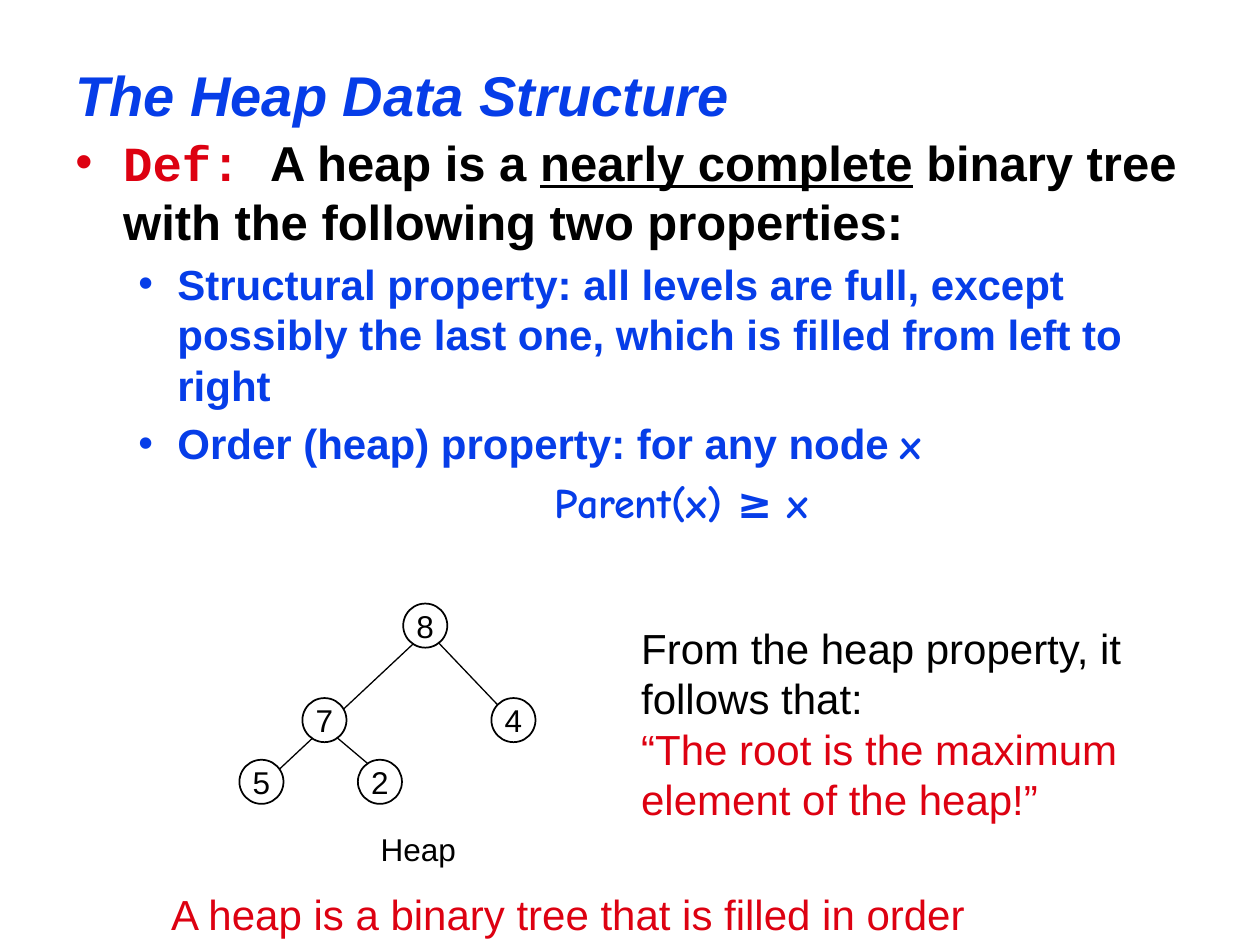
from lxml import etree
from pptx import Presentation
from pptx.dml.color import RGBColor
from pptx.enum.shapes import MSO_CONNECTOR, MSO_SHAPE
from pptx.enum.text import MSO_ANCHOR, PP_ALIGN
from pptx.oxml.ns import qn
from pptx.util import Inches, Pt

LINE, OVAL = MSO_CONNECTOR.STRAIGHT, MSO_SHAPE.OVAL
MIDDLE, TOP = MSO_ANCHOR.MIDDLE, MSO_ANCHOR.TOP
CENTER, LEFT = PP_ALIGN.CENTER, PP_ALIGN.LEFT
BLUE, RED, BLACK, WHITE = "063DE8", "DD0111", "000000", "FFFFFF"
SANS, MONO, COMIC = "Arial", "Courier New", "Comic Neue"
NODE = 0.35


def color(code):
    return RGBColor.from_string(code)


class Deck:
    """Holds the text style and the current slide."""

    def __init__(self, slide):
        self.slide = slide
        self.shapes = slide.shapes

    def style(self, run, size, code, face=SANS, bold=False):
        font = run.font
        font.size, font.name, font.bold = Pt(size), face, bold
        font.color.rgb = color(code)

    def box(self, x, y, w, h, anchor=TOP, wrap=True):
        frame = self.shapes.add_textbox(*map(Inches, (x, y, w, h))).text_frame
        frame.word_wrap = wrap
        frame.vertical_anchor = anchor
        return frame

    def text(self, frame, lines, size, align=LEFT, bold=False):
        """Fill a frame with (text, colour) lines."""
        frame.text = "\n".join(words for words, _ in lines)
        for para, (_, code) in zip(frame.paragraphs, lines):
            para.alignment = align
            for run in para.runs:
                self.style(run, size, code, bold=bold)

    def item(self, para, runs, size, left, hang=0, gap=0):
        """Write a bold list item; a hang gives it a bullet."""
        props = para._p.get_or_add_pPr()
        props.set("marL", str(Inches(left)))
        props.set("indent", str(Inches(-hang)))
        if hang:
            etree.SubElement(props, qn("a:buFont")).set("typeface", SANS)
            etree.SubElement(props, qn("a:buChar")).set("char", "•")
        para.space_before = Pt(gap)
        for words, code, face in runs:
            run = para.add_run()
            run.text = words
            self.style(run, size, code, face, True)

    def edge(self, x1, y1, x2, y2):
        line = self.shapes.add_connector(LINE, *map(Inches, (x1, y1, x2, y2)))
        line.line.color.rgb = color(BLACK)
        line.line.width = Pt(0.75)
        etree.SubElement(line._element.spPr, qn("a:effectLst"))

    def node(self, key, x, y):
        disc = self.shapes.add_shape(OVAL, *map(Inches, (x, y, NODE, NODE)))
        disc.shadow.inherit = False
        disc.fill.solid()
        disc.fill.fore_color.rgb = color(WHITE)
        disc.line.color.rgb = color(BLACK)
        disc.line.width = Pt(1)
        frame = disc.text_frame
        frame.word_wrap = False
        frame.vertical_anchor = MIDDLE
        self.text(frame, [(key, BLACK)], 18, CENTER)


def main():
    show = Presentation()
    show.slide_width, show.slide_height = Inches(10), Inches(7.5)
    deck = Deck(show.slides.add_slide(show.slide_layouts[6]))

    title = deck.box(0.5, 0, 9, 1.5, MIDDLE)
    deck.text(title, [("The Heap Data Structure", BLUE)], 32, bold=True)
    title.paragraphs[0].runs[0].font.italic = True

    body = deck.box(0.5, 1, 9, 4.25)
    first = body.paragraphs[0]
    deck.item(first, [
        ("Def: ", RED, MONO),
        ("A heap is a ", BLACK, SANS),
        ("nearly complete", BLACK, SANS),
        (" binary tree with the following two properties:", BLACK, SANS),
    ], 28, 0.38, 0.38)
    first.runs[2].font.underline = True
    deck.item(body.add_paragraph(), [
        ("Structural property: all levels are full, except possibly "
         "the last one, which is filled from left to right", BLUE, SANS),
    ], 24, 0.81, 0.31, 4.8)
    deck.item(body.add_paragraph(), [
        ("Order (heap) property: for any node ", BLUE, SANS),
        ("x", BLUE, COMIC),
    ], 24, 0.81, 0.31, 4.8)
    deck.item(body.add_paragraph(), [("Parent(x) ≥ x", BLUE, COMIC)],
              24, 3.8, gap=4.8)

    for ends in ((2.67, 5.85, 2.93, 6.07), (2.02, 6.29, 3.44, 4.96),
                 (4.06, 5.71, 3.27, 4.88)):
        deck.edge(*ends)
    for key, x, y in (("8", 3.2, 4.79), ("7", 2.4, 5.54), ("4", 3.9, 5.54),
                      ("5", 1.9, 6.03), ("2", 2.84, 6.03)):
        deck.node(key, x, y)
    deck.text(deck.box(2.92, 6.54, 0.8, 0.4, wrap=False),
              [("Heap", BLACK)], 18, CENTER)

    deck.text(deck.box(4.99, 4.89, 4.11, 1.7), [
        ("From the heap property, it follows that:", BLACK),
        ("“The root is the maximum", RED),
        ("element of the heap!”", RED),
    ], 24)
    deck.text(deck.box(1.26, 7, 6.78, 0.5),
              [("A heap is a binary tree that is filled in order", RED)], 24)
    show.save("out.pptx")


if __name__ == "__main__":
    main()
